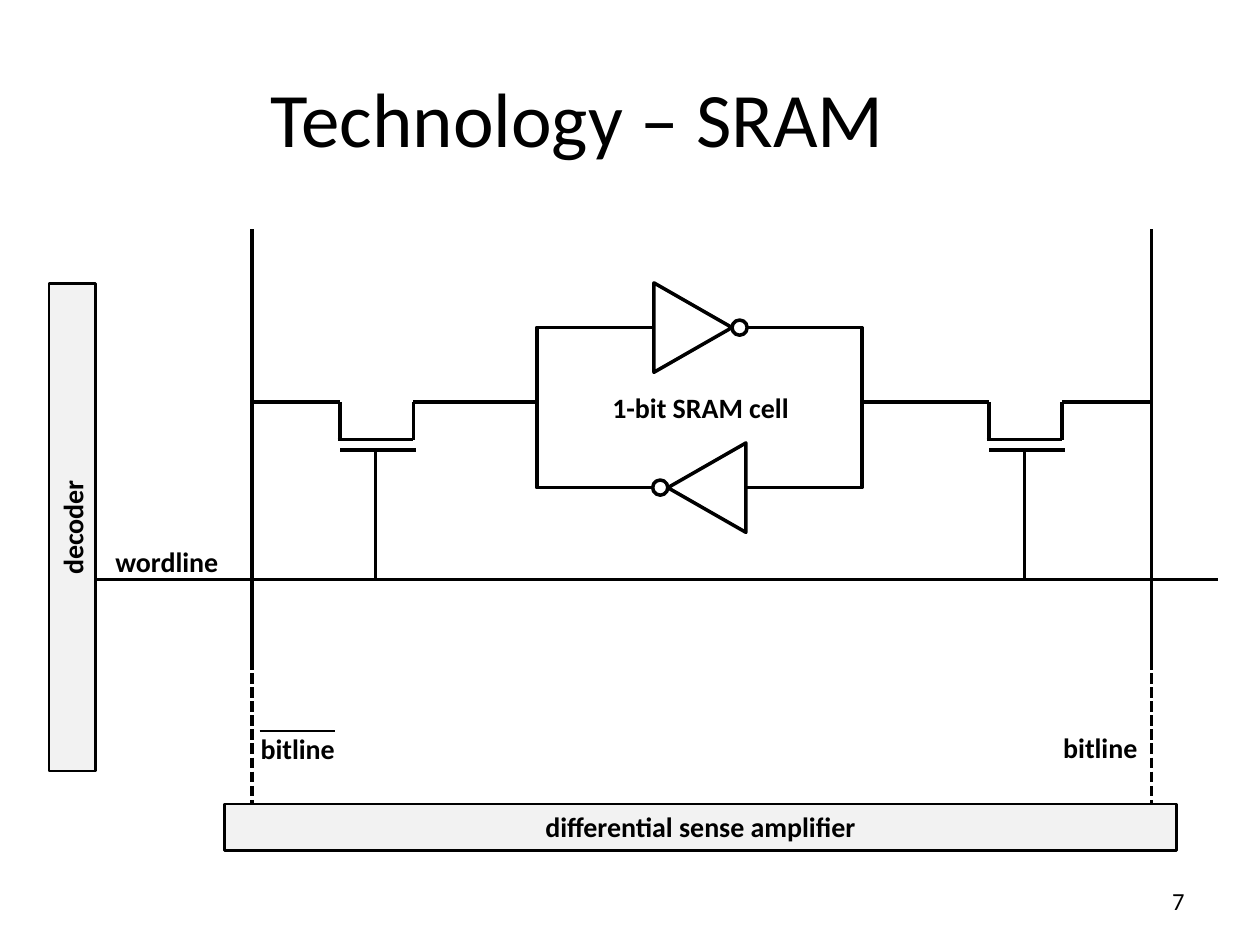
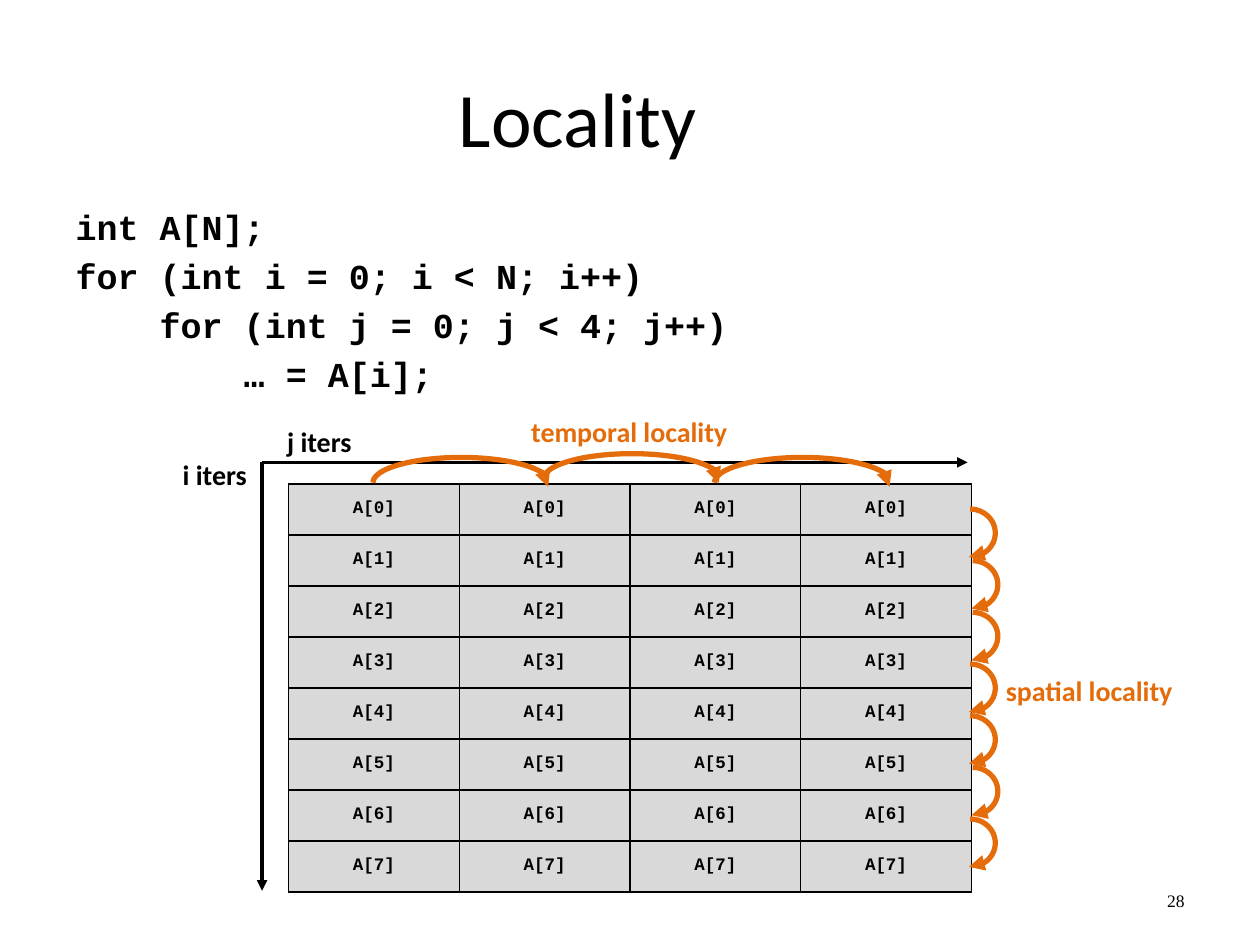
from dataclasses import dataclass

from pptx import Presentation
from pptx.dml.color import RGBColor
from pptx.enum.dml import MSO_LINE
from pptx.enum.shapes import MSO_CONNECTOR, MSO_SHAPE
from pptx.enum.text import MSO_ANCHOR, MSO_AUTO_SIZE, PP_ALIGN
from pptx.oxml import parse_xml
from pptx.oxml.ns import nsdecls, qn
from pptx.oxml.xmlchemy import OxmlElement
from pptx.util import Emu, Inches, Pt

COLORS = {"ink": "000000", "paper": "FFFFFF", "block": "F2F2F2",
          "cell": "D9D9D9", "accent": "E46C0A"}
BODY_FONT, CODE_FONT, NUMBER_FONT = "Calibri", "Courier New", "Times New Roman"
SLIDE_WIDTH, SLIDE_HEIGHT = Inches(10), Inches(7.5)
# The slide is a grid of 100 columns by 75 rows of square units.
UNIT = SLIDE_WIDTH // 100
LABEL_HEIGHT = 3.7


@dataclass
class Box:
    left: float
    top: float
    width: float
    height: float

    @property
    def right(self):
        return self.left + self.width

    @property
    def bottom(self):
        return self.top + self.height

    def emu(self):
        return [Emu(round(length * UNIT))
                for length in (self.left, self.top, self.width, self.height)]


def centered(x, y, width, height):
    return Box(x - width / 2, y - height / 2, width, height)


def rgb(name):
    return RGBColor.from_string(COLORS[name])


def write_text(frame, text, size=16, font=BODY_FONT, color="ink", bold=True,
               align=PP_ALIGN.CENTER, anchor=MSO_ANCHOR.TOP, wrap=True):
    """Fill a text frame, one paragraph for each line of text."""
    frame.word_wrap = wrap
    frame.vertical_anchor = anchor
    frame.auto_size = MSO_AUTO_SIZE.NONE
    for index, line in enumerate(text.split("\n")):
        paragraph = frame.add_paragraph() if index else frame.paragraphs[0]
        paragraph.alignment = align
        run = paragraph.add_run()
        run.text = line
        run.font.size, run.font.name, run.font.bold = Pt(size), font, bold
        run.font.color.rgb = rgb(color)


def add_label(slide, box, text, **text_format):
    write_text(slide.shapes.add_textbox(*box.emu()).text_frame, text, **text_format)


def style_line(shape, color, weight, arrow):
    shape.line.color.rgb = rgb(color)
    shape.line.width = Pt(weight)
    if arrow:
        tail = OxmlElement("a:tailEnd")
        tail.set("type", "triangle")
        shape.element.spPr.find(qn("a:ln")).append(tail)


def add_line(slide, start, end, weight=2, dashed=False, arrow=False):
    points = [Emu(round(value * UNIT)) for value in (*start, *end)]
    line = slide.shapes.add_connector(MSO_CONNECTOR.STRAIGHT, *points)
    style_line(line, "ink", weight, arrow)
    if dashed:
        line.line.dash_style = MSO_LINE.SQUARE_DOT
    line.element.spPr.append(OxmlElement("a:effectLst"))


def add_figure(slide, kind, box, fill="paper", color="ink", weight=2,
               rotation=0, arrow=False):
    shape = slide.shapes.add_shape(kind, *box.emu())
    shape.shadow.inherit = False
    shape.rotation = rotation
    if fill:
        shape.fill.solid()
        shape.fill.fore_color.rgb = rgb(fill)
    else:
        shape.fill.background()
    style_line(shape, color, weight, arrow)
    return shape


def add_block(slide, box, text, rotation=0):
    block = add_figure(slide, MSO_SHAPE.RECTANGLE, box, "block",
                       weight=1.5, rotation=rotation)
    write_text(block.text_frame, text)


def add_arc_arrow(slide, box, rotation=0):
    arc = add_figure(slide, MSO_SHAPE.ARC, box, None, "accent", 3, rotation, True)
    arc.adjustments[0], arc.adjustments[1] = 162, 55.64


def new_slide(presentation, layout, title, number, **number_format):
    """Add a slide with the shared title and page number."""
    slide = presentation.slides.add_slide(presentation.slide_layouts[layout])
    heading = slide.shapes.title
    heading.left, heading.top, heading.width, heading.height = Box(5, 3, 81.7, 12.5).emu()
    write_text(heading.text_frame, title, size=44, bold=False, anchor=MSO_ANCHOR.MIDDLE)
    add_label(slide, Box(83.3, 69.5, 11.7, 4), number, bold=False,
              align=PP_ALIGN.RIGHT, anchor=MSO_ANCHOR.MIDDLE, **number_format)
    return slide


def draw_transistor(slide, box):
    """Channel in the top part of the box, gate stem down to its bottom."""
    channel, plate = box.top + 3, box.top + 3.8
    stem = box.left + 2.8
    for x in (box.left, box.right):
        add_line(slide, (x, box.top), (x, channel))
    add_line(slide, (box.left - 0.2, channel), (box.right, channel))
    add_line(slide, (box.left, plate), (box.right + 0.2, plate))
    add_line(slide, (stem, plate), (stem, box.bottom))


def draw_inverter(slide, x, y, direction):
    """Triangle centred at x, y; direction is 1 to the right or -1 to the left."""
    length, width, bubble = 6.2, 7.1, 1.2
    add_figure(slide, MSO_SHAPE.ISOSCELES_TRIANGLE, centered(x, y, width, length),
               rotation=90 if direction > 0 else 270)
    add_figure(slide, MSO_SHAPE.OVAL,
               centered(x + direction * (length + bubble) / 2, y, bubble, bubble))


def draw_cell(slide, box):
    add_figure(slide, MSO_SHAPE.RECTANGLE, box)
    middle = box.left + box.width / 2
    draw_inverter(slide, middle - 0.5, box.top, 1)
    draw_inverter(slide, middle + 0.6, box.bottom, -1)
    add_label(slide, centered(middle + 0.1, box.top + 6.35, 16.2, LABEL_HEIGHT),
              "1-bit SRAM cell", wrap=False)


def draw_circuit(slide, box):
    """Bitlines on the sides of the box, the amplifier at its bottom."""
    access, wordline = box.top + 13.7, box.top + 27.8
    cell = Box(box.left + 22.6, box.top + 7.8, 25.8, 12.7)
    gates = [Box(box.left + x, access, 5.8, wordline - access) for x in (7, 58.5)]
    wire_ends = (box.left, gates[0].left, gates[0].right, gates[1].left,
                 gates[1].right, box.right)
    for start, end in zip(wire_ends[::2], wire_ends[1::2]):
        add_line(slide, (start, access), (end, access))
    for gate in gates:
        draw_transistor(slide, gate)
    draw_cell(slide, cell)
    add_line(slide, (box.left - 13.3, wordline), (box.right + 5.3, wordline))
    for x in (box.left, box.right):
        add_line(slide, (x, box.top), (x, box.top + 35))
        add_line(slide, (x, box.top + 34.1), (x, box.bottom), dashed=True)
    add_label(slide, Box(box.left - 11.9, wordline - 3.3, 10.3, LABEL_HEIGHT),
              "wordline", wrap=False)
    for x, y in ((box.left - 0.3, 39.4), (box.right - 8, 39.3)):
        add_label(slide, Box(x, box.top + y, 8, LABEL_HEIGHT), "bitline",
                  align=PP_ALIGN.LEFT, wrap=False)
    overline = box.top + 39.8
    add_line(slide, (box.left + 0.6, overline), (box.left + 6.6, overline), 1.25)
    add_block(slide, Box(box.left - 2.2, box.bottom - 0.4, 75.6, LABEL_HEIGHT),
              "differential sense amplifier")
    add_block(slide, centered(box.left - 14.25, box.top + 23.65, 38.7, LABEL_HEIGHT),
              "decoder", rotation=270)


def fill_code(placeholder, box, code):
    placeholder.left, placeholder.top, placeholder.width, placeholder.height = box.emu()
    write_text(placeholder.text_frame, code, size=20, font=CODE_FONT, align=PP_ALIGN.LEFT)
    for paragraph in placeholder.text_frame.paragraphs:
        properties = paragraph._p.get_or_add_pPr()
        properties.set("marL", "0")
        properties.set("indent", "0")
        properties.append(OxmlElement("a:buNone"))


def style_cell(cell, text):
    properties = cell._tc.get_or_add_tcPr()
    for side in "LRTB":
        properties.append(parse_xml(
            f'<a:ln{side} {nsdecls("a")} w="{Pt(1)}"><a:solidFill>'
            f'<a:srgbClr val="{COLORS["ink"]}"/></a:solidFill></a:ln{side}>'))
    cell.fill.solid()
    cell.fill.fore_color.rgb = rgb("cell")
    cell.vertical_anchor = MSO_ANCHOR.MIDDLE
    paragraph = cell.text_frame.paragraphs[0]
    paragraph.alignment = PP_ALIGN.CENTER
    run = paragraph.add_run()
    run.text = text
    run.font.size, run.font.name, run.font.bold = Pt(10), CODE_FONT, True
    run.font.color.rgb = rgb("ink")


def draw_access_table(slide, box, rows, columns):
    frame = slide.shapes.add_table(rows, columns, *box.emu())
    table = frame.table
    table.first_row = table.horz_banding = False
    for row in range(rows):
        for column in range(columns):
            style_cell(table.cell(row, column), f"A[{row}]")


def draw_axes(slide, box):
    """Iteration axes above and to the left of the table box."""
    corner = (box.left - 2.1, box.top - 1.7)
    add_line(slide, corner, (corner[0], box.bottom - 0.1), arrow=True)
    add_line(slide, corner, (box.right - 0.3, corner[1]), arrow=True)
    for text, x, y in (("i iters", -7.5, -0.9), ("j iters", 0.8, -3.5)):
        add_label(slide, Box(corner[0] + x, corner[1] + y, 7.5, LABEL_HEIGHT), text)


def draw_locality(slide, box, rows, columns):
    """Arcs from row to row and from column to column of the table box."""
    row_nudges = (0, 0.2, 0.2, 0, 0, 0.2, 0)
    for row in range(rows - 1):
        add_arc_arrow(slide, Box(box.right - 2.1 + row_nudges[row],
                                 box.top + 2 + row * 4.1, 4, 3.8))
    column_step = box.width / columns
    for column, lift in enumerate((0, 0.3, 0), 1):
        add_arc_arrow(slide, centered(box.left + column * column_step + 0.15,
                                      box.top - 0.1 - lift, 4, 14), rotation=270)
    for text, x, y in (("temporal locality", 16.9, -6), ("spatial locality", 53.4, 14.6)):
        add_label(slide, Box(box.left + x, box.top + y, 20.3, LABEL_HEIGHT),
                  text, color="accent")


def build_sram_slide(presentation):
    slide = new_slide(presentation, 5, "Technology – SRAM", "7", size=14)
    draw_circuit(slide, Box(20, 18.2, 71.4, 46))


def build_locality_slide(presentation):
    slide = new_slide(presentation, 1, "Locality", "28", size=10, font=NUMBER_FONT)
    fill_code(slide.placeholders[1], Box(5, 15.8, 90, 17.5),
              "int A[N];\n"
              "for (int i = 0; i < N; i++)\n"
              "    for (int j = 0; j < 4; j++)\n"
              "        … = A[i];")
    rows, columns = 8, 4
    grid = Box(22.9, 38.4, 54.2, 32.4)
    draw_access_table(slide, grid, rows, columns)
    draw_axes(slide, grid)
    draw_locality(slide, grid, rows, columns)


def main():
    presentation = Presentation()
    presentation.slide_width, presentation.slide_height = SLIDE_WIDTH, SLIDE_HEIGHT
    build_sram_slide(presentation)
    build_locality_slide(presentation)
    presentation.save("out.pptx")


if __name__ == "__main__":
    main()
